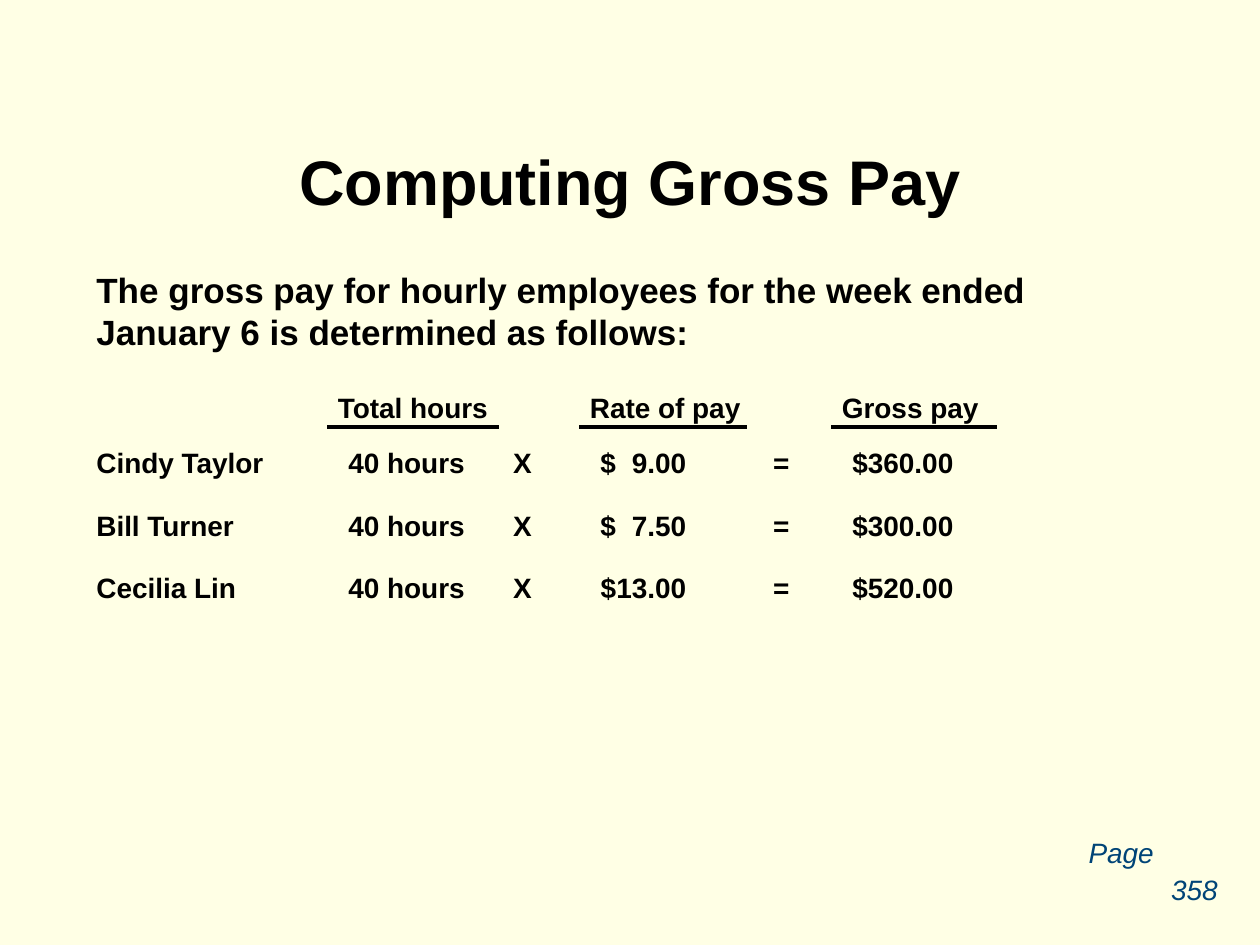
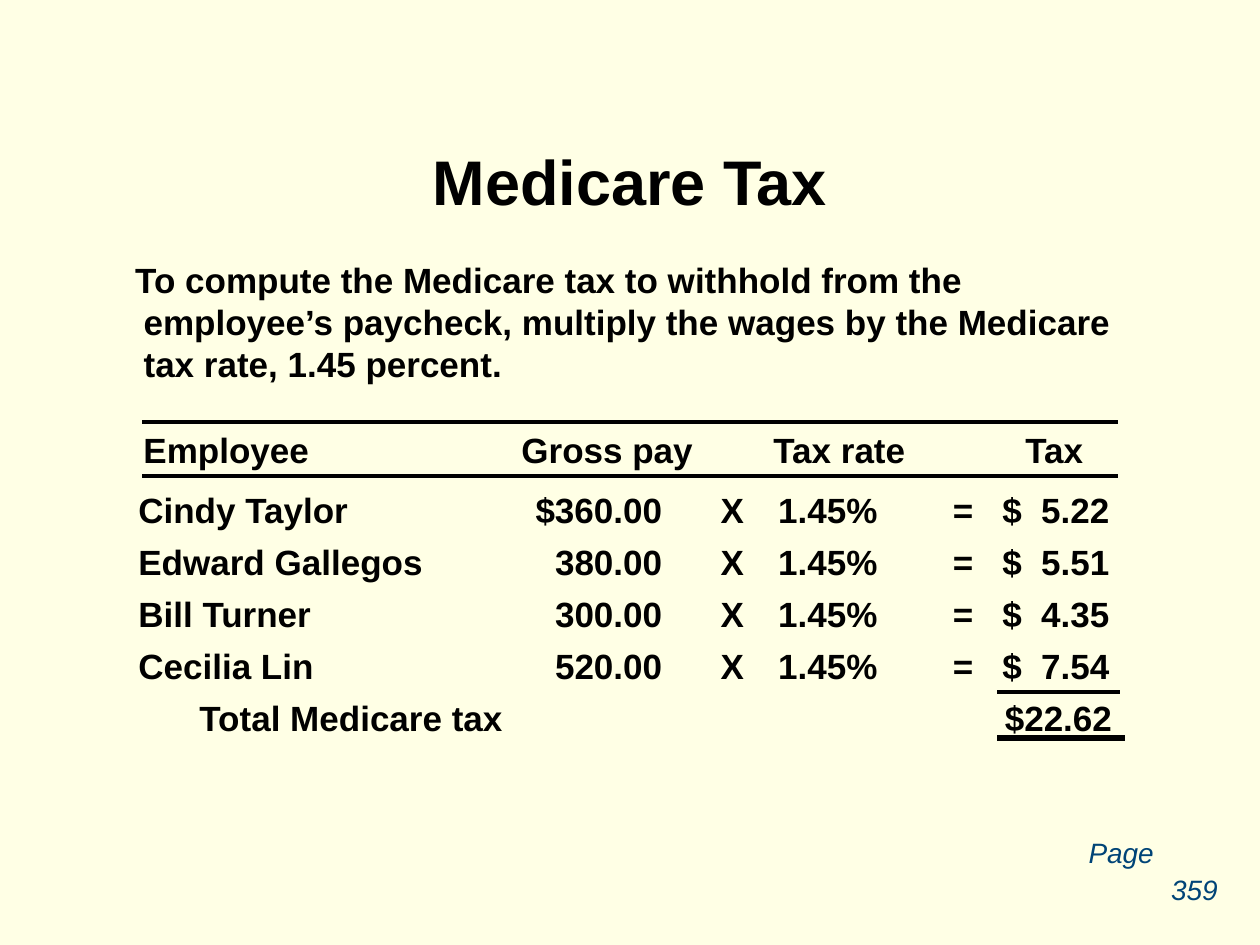
from dataclasses import dataclass

from lxml.etree import SubElement
from pptx import Presentation
from pptx.dml.color import RGBColor as RGB
from pptx.enum.shapes import MSO_CONNECTOR as Connector
from pptx.enum.text import MSO_ANCHOR as Anchor, PP_ALIGN as Align
from pptx.oxml.ns import qn
from pptx.util import Pt


@dataclass(frozen=True)
class Theme:
    font: str = "Arial"
    paper: RGB = RGB(0xFF, 0xFF, 0xE5)
    ink: RGB = RGB(0, 0, 0)
    page_ink: RGB = RGB(0x00, 0x44, 0x77)
    title_size: float = 36
    body_size: float = 20
    small_size: float = 16


THEME = Theme()
BOLD = {"bold": True}
ITALIC = {"italic": True}
PAD_X, PAD_Y = 7.2, 3.6


# Basic parts
def add_text(slide, box, words, size, color=THEME.ink, face=BOLD,
             align=Align.LEFT, tabs=(), margin=0, indent=0, wrap=True):
    frame = slide.shapes.add_textbox(*map(Pt, box)).text_frame
    frame_format = {
        "word_wrap": wrap, "vertical_anchor": Anchor.TOP,
        "margin_left": Pt(PAD_X), "margin_right": Pt(PAD_X),
        "margin_top": Pt(PAD_Y), "margin_bottom": Pt(PAD_Y),
    }
    for name, value in frame_format.items():
        setattr(frame, name, value)

    paragraph = frame.paragraphs[0]
    paragraph.alignment = align
    properties = paragraph._p.get_or_add_pPr()
    if margin:
        properties.set("marL", str(Pt(margin)))
        properties.set("indent", str(Pt(indent)))
    if tabs:
        stops = SubElement(properties, qn("a:tabLst"))
        for position, side in tabs:
            SubElement(stops, qn("a:tab"), pos=str(Pt(position)), algn=side)

    run = paragraph.add_run()
    run.text = words
    font_format = {"name": THEME.font, "size": Pt(size), **face}
    for name, value in font_format.items():
        setattr(run.font, name, value)
    run.font.color.rgb = color


def add_rule(slide, left, right, y, weight):
    rule = slide.shapes.add_connector(
        Connector.STRAIGHT, Pt(left), Pt(y), Pt(right), Pt(y))
    rule.line.color.rgb = THEME.ink
    rule.line.width = Pt(weight)
    SubElement(rule._element.spPr, qn("a:effectLst"))


def add_cells(slide, box, cells, size):
    """Set one line of (words, stop, side) cells; a cell at stop 0 needs no tab."""
    words = "".join(("\t" if stop else "") + text for text, stop, _ in cells)
    tabs = [(stop, side) for _, stop, side in cells if stop]
    add_text(slide, box, words, size, tabs=tabs)


def money_cells(amount, left, right):
    """Align the digits right, and a detached dollar sign left."""
    sign, _, digits = amount.rpartition(" ")
    cells = [(digits, right, "r")]
    return [(sign, left, "l")] + cells if sign else cells


# Shared by both slides
def add_page_frame(deck, title, page):
    slide = deck.slides.add_slide(deck.slide_layouts[6])
    slide.background.fill.solid()
    slide.background.fill.fore_color.rgb = THEME.paper
    add_text(slide, (54, 78, 612, 60), title, THEME.title_size,
             align=Align.CENTER)
    add_page_mark(slide, (615, 473.75, 88, 48), page)
    return slide


def add_page_mark(slide, box, page):
    left, top, width, height = box
    look = {"size": THEME.small_size, "color": THEME.page_ink,
            "face": ITALIC, "wrap": False}
    add_text(slide, (left, top, 52, 26.5), "Page", **look)
    add_text(slide, (left + width - 41, top + height - 26.5, 41, 26.5), page,
             align=Align.CENTER, **look)


# Hours times rate
def add_gross_pay(slide, box, employees):
    left, top, width, _ = box
    hours_at, rate_at, gross_at = 144, 288, 432
    times_at, rate_end, equals_at = 238.2, 337, 386.7
    row_height, row_step, first_row = 26.5, 35.7, 31.5

    # Underlined headings
    headings = [("Total hours", hours_at, 98), ("Rate of pay", rate_at, 96),
                ("Gross pay", gross_at, 94.5)]
    add_cells(slide, (left - 6, top, width, row_height),
              [(text, stop, "l") for text, stop, _ in headings],
              THEME.small_size)
    for _, stop, length in headings:
        start = left + stop - 5
        add_rule(slide, start, start + length, top + 24.4, 2)

    # One line for each employee
    for index, (name, hours, rate, gross) in enumerate(employees):
        row = (left, top + first_row + index * row_step, width, row_height)
        add_cells(slide, row, [
            (name, 0, "l"), (hours, hours_at, "l"), ("X", times_at, "l"),
            *money_cells(rate, rate_at, rate_end),
            ("=", equals_at, "l"), (gross, gross_at, "l"),
        ], THEME.small_size)


# Gross pay times tax rate
def add_medicare_tax(slide, box, employees, rate, total):
    left, top, width, _ = box
    tax_at, tax_end = 493.7, 554.9
    row_height, row_step, first_row = 31.7, 29.6, 34.6

    # Headings between two rules
    add_cells(slide, (left + 2.9, top, width, row_height),
              [("Employee", 0, "l"), ("Gross pay", 216, "l"),
               ("Tax rate", 360, "l"), ("Tax", 504, "l")], THEME.body_size)
    for y in (top, top + 31):
        add_rule(slide, left + 9.2, left + 567, y, 2.25)

    # One line for each employee
    for index, (name, gross, tax) in enumerate(employees):
        row = (left, top + first_row + index * row_step, width, row_height)
        add_cells(slide, row, [
            (name, 0, "l"), (gross, 299.4, "r"), ("X", 332.8, "l"),
            (rate, 365.6, "l"), ("=", 465.4, "l"),
            *money_cells(tax, tax_at, tax_end),
        ], THEME.body_size)

    # Total with its rules
    total_top = top + first_row + len(employees) * row_step
    add_cells(slide, (left + 1.5, total_top, width, row_height),
              [("Total Medicare tax", 33.4, "l"), (total, tax_end, "r")],
              THEME.body_size)
    add_rule(slide, left + 498, left + 568, total_top + 1.2, 2.25)
    add_rule(slide, left + 498, left + 571, total_top + 27.5, 3)


# Slides
def build_gross_pay_slide(deck):
    slide = add_page_frame(deck, "Computing Gross Pay", "358")
    add_text(slide, (48, 150, 600, 55.5),
             "The gross pay for hourly employees for the week ended "
             "January 6 is determined as follows:", THEME.body_size)
    add_gross_pay(slide, (48, 219.7, 588, 130), [
        ("Cindy Taylor", "40 hours", "$ 9.00", "$360.00"),
        ("Bill Turner", "40 hours", "$ 7.50", "$300.00"),
        ("Cecilia Lin", "40 hours", "$13.00", "$520.00"),
    ])


def build_medicare_slide(deck):
    slide = add_page_frame(deck, "Medicare Tax", "359")
    add_text(slide, (48, 144, 612, 96),
             "To compute the Medicare tax to withhold from the employee’s "
             "paycheck, multiply the wages by the Medicare tax rate, "
             "1.45 percent.", THEME.body_size, margin=27, indent=-4.8)
    add_medicare_tax(slide, (72, 241.2, 612, 185), [
        ("Cindy Taylor", "$360.00", "$ 5.22"),
        ("Edward Gallegos", "380.00", "$ 5.51"),
        ("Bill Turner", "300.00", "$ 4.35"),
        ("Cecilia Lin", "520.00", "$ 7.54"),
    ], rate="1.45%", total="$22.62")


def main():
    deck = Presentation()
    deck.slide_width, deck.slide_height = Pt(720), Pt(540)
    build_gross_pay_slide(deck)
    build_medicare_slide(deck)
    deck.save("out.pptx")


if __name__ == "__main__":
    main()
